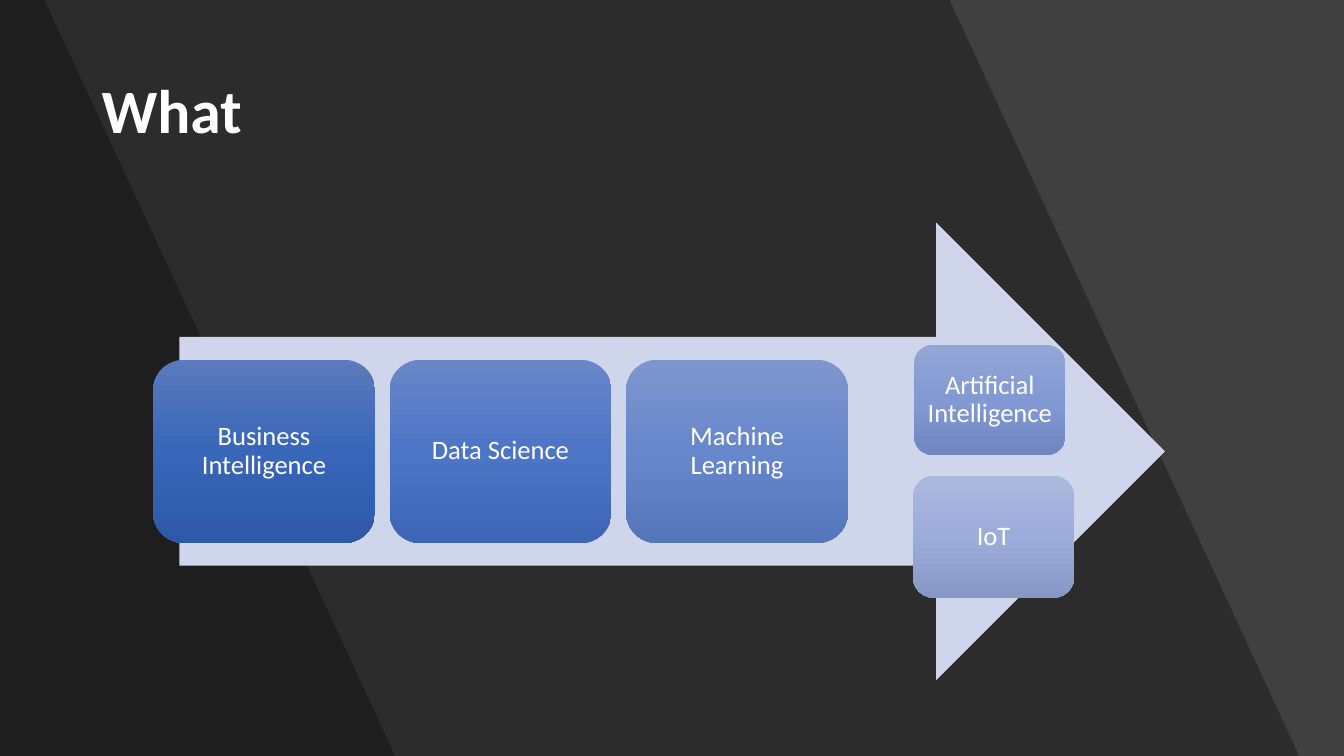
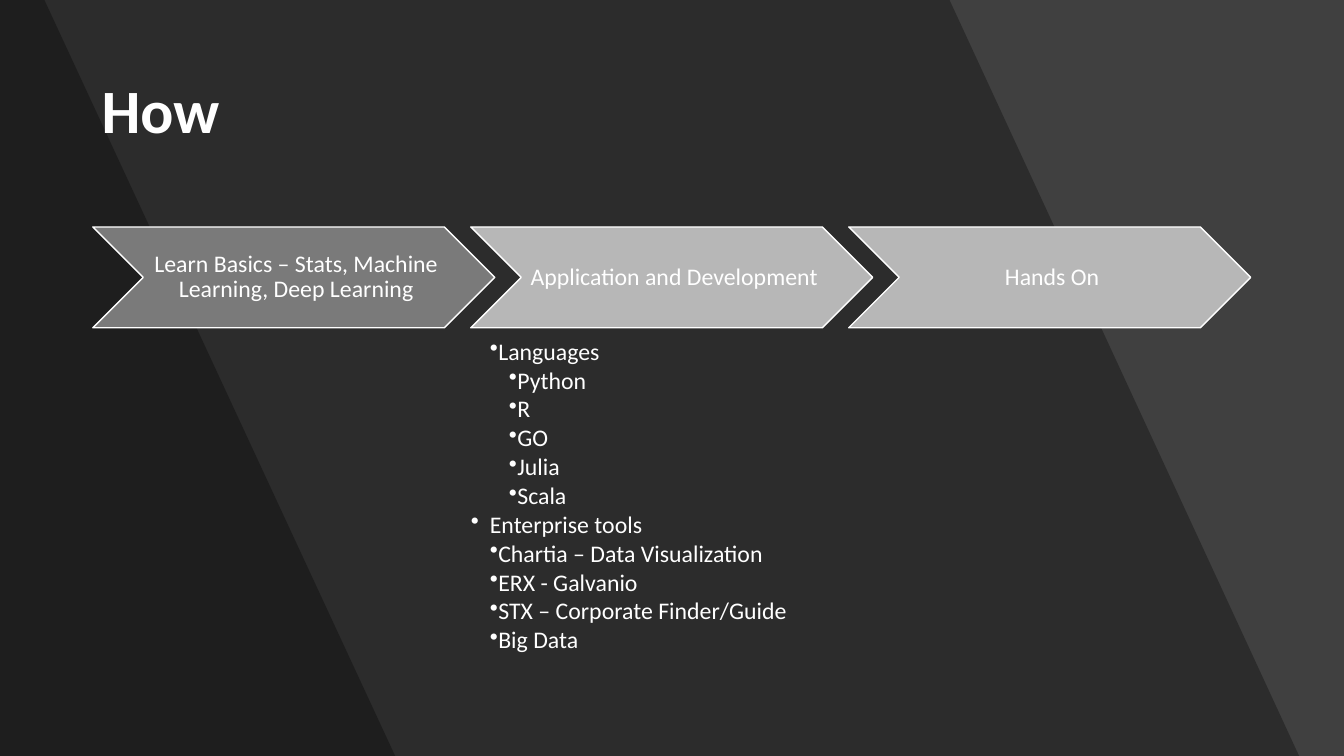
from copy import deepcopy
from dataclasses import dataclass

from lxml import etree
from pptx import Presentation
from pptx.dml.color import RGBColor
from pptx.enum.shapes import MSO_SHAPE
from pptx.enum.text import MSO_ANCHOR, MSO_AUTO_SIZE, PP_ALIGN
from pptx.oxml.ns import qn
from pptx.util import Cm, Pt

RIGHT_ARROW = MSO_SHAPE.RIGHT_ARROW
ROUNDED = MSO_SHAPE.ROUNDED_RECTANGLE
CHEVRON = MSO_SHAPE.CHEVRON
TOP, MIDDLE = MSO_ANCHOR.TOP, MSO_ANCHOR.MIDDLE
LEFT, CENTER = PP_ALIGN.LEFT, PP_ALIGN.CENTER
NO_AUTOFIT = MSO_AUTO_SIZE.NONE
TITLE_ONLY = 5


@dataclass(frozen=True)
class Theme:
    """Colours, font and type sizes shared by the slides."""
    font: str = "Calibri"
    title_size: float = 44
    block_size: float = 19
    step_size: float = 17
    line_spacing: float = 0.9
    background: str = "404040"
    band: str = "000000"
    band_opacity: int = 30
    text: str = "FFFFFF"
    arrow: str = "CFD5EA"
    active_step: str = "7A7A7A"
    next_step: str = "B7B7B7"


@dataclass(frozen=True)
class Box:
    """A rectangle in centimetres."""
    left: float
    top: float
    width: float
    height: float

    def lengths(self):
        """Return left, top, width and height as lengths."""
        return Cm(self.left), Cm(self.top), Cm(self.width), Cm(self.height)

    def inner(self, left, top, width, height):
        """Return a box placed relative to this one."""
        return Box(self.left + left, self.top + top, width, height)


THEME = Theme()
PAGE = Box(0, 0, 33.87, 19.05)
TITLE_BOX = Box(2.31, 1.02, 29.24, 3.68)
BANDS = [(23.93, 32.74), (1.12, 9.96)]
BULLET_INDENT = 0.48

FIELDS = [
    ("Business Intelligence", ("5C7ABD", "3866B8", "2D59A8")),
    ("Data Science", ("6A86C8", "4C75C6", "3D66B6")),
    ("Machine Learning", ("7E96CE", "6787CC", "5676BB")),
]
OUTCOMES = [
    ("Artificial Intelligence", ("94A6D6", "8299D3", "6F86C0"), (19.18, 3.08, 3.81, 2.77)),
    ("IoT", ("ABB8DD", "9CADDB", "8798C6"), (19.15, 6.38, 4.06, 3.07)),
]
STEPS = [
    ("Learn Basics – Stats, Machine Learning, Deep Learning", THEME.active_step),
    ("Application and Development", THEME.next_step),
    ("Hands On", THEME.next_step),
]
TOOLS = [
    ("Languages", 1, 0),
    ("Python", 2, 0),
    ("R", 2, 0),
    ("GO", 2, 0),
    ("Julia", 2, 0),
    ("Scala", 2, 0),
    ("Enterprise tools", 1, -BULLET_INDENT),
    ("Chartia – Data Visualization", 1, 0),
    ("ERX - Galvanio", 1, 0),
    ("STX – Corporate Finder/Guide", 1, 0),
    ("Big Data", 1, 0),
]


def rgb(code):
    """Turn a hex code into a colour."""
    return RGBColor.from_string(code)


def write(frame, *lines, size, bold=False, align=CENTER, anchor=MIDDLE,
          insets=(0.25, 0.13, 0.25, 0.13), after=0):
    """Write lines into a text frame and return their paragraphs."""
    frame.word_wrap = True
    frame.auto_size = NO_AUTOFIT
    frame.vertical_anchor = anchor
    (frame.margin_left, frame.margin_top,
     frame.margin_right, frame.margin_bottom) = map(Cm, insets)
    frame.text = "\n".join(lines)
    for paragraph in frame.paragraphs:
        paragraph.alignment = align
        paragraph.line_spacing = THEME.line_spacing
        paragraph.space_before = Pt(0)
        paragraph.space_after = Pt(after)
        font = paragraph.runs[0].font
        font.name, font.size, font.bold = THEME.font, Pt(size), bold
        font.color.rgb = rgb(THEME.text)
    return frame.paragraphs


def add_form(slide, kind, box, fill=None, line=None):
    """Add a preset shape with an optional solid fill and outline."""
    form = slide.shapes.add_shape(kind, *box.lengths())
    form.shadow.inherit = False
    if fill:
        form.fill.solid()
        form.fill.fore_color.rgb = rgb(fill)
    if line:
        form.line.color.rgb = rgb(line)
        form.line.width = Pt(1)
    else:
        form.line.fill.background()
    return form


def shade(form, colours):
    """Fill a shape with evenly spaced colours from top to bottom."""
    form.fill.gradient()
    form.fill.gradient_angle = 270
    stops = form._element.spPr.find(qn("a:gradFill")).find(qn("a:gsLst"))
    while len(stops) < len(colours):
        stops.append(deepcopy(stops[-1]))
    for index, (stop, colour) in enumerate(zip(form.fill.gradient_stops, colours)):
        stop.position = index / (len(colours) - 1)
        stop.color.rgb = rgb(colour)


def add_band(slide, box, top_edge, bottom_edge):
    """Darken the box from its left side to a slanted edge."""
    corners = [(top_edge, 0), (bottom_edge, box.height), (0, box.height)]
    outline = slide.shapes.build_freeform(Cm(box.left), Cm(box.top))
    outline.add_line_segments(
        [(Cm(box.left + x), Cm(box.top + y)) for x, y in corners], close=True)
    band = outline.convert_to_shape()
    band.shadow.inherit = False
    band.line.fill.background()
    band.fill.solid()
    band.fill.fore_color.rgb = rgb(THEME.band)
    colour = next(band._element.spPr.iter(qn("a:srgbClr")))
    etree.SubElement(colour, qn("a:alpha")).set("val", str(THEME.band_opacity * 1000))


def add_titled_slide(deck, heading):
    """Add a slide with the shared background, bands and title style."""
    slide = deck.slides.add_slide(deck.slide_layouts[TITLE_ONLY])
    slide.background.fill.solid()
    slide.background.fill.fore_color.rgb = rgb(THEME.background)
    for top_edge, bottom_edge in BANDS:
        add_band(slide, PAGE, top_edge, bottom_edge)
    title = slide.shapes.title
    title.left, title.top, title.width, title.height = TITLE_BOX.lengths()
    write(title.text_frame, heading, size=THEME.title_size, bold=True, align=LEFT)
    slide.shapes._spTree.append(title._element)
    return slide


def add_block(slide, box, label, colours, inset):
    """Add a shaded rounded block with a label."""
    block = add_form(slide, ROUNDED, box)
    shade(block, colours)
    write(block.text_frame, label, size=THEME.block_size, insets=(inset,) * 4)


def add_field_arrow(slide, box):
    """Draw the arrow with the fields in a row and the outcomes at its head."""
    add_form(slide, RIGHT_ARROW, box.inner(0.66, 0, 24.84, box.height), THEME.arrow)
    width, height, pitch = 5.59, 0.4 * box.height, 5.96
    for index, (label, colours) in enumerate(FIELDS):
        place = box.inner(index * pitch, (box.height - height) / 2, width, height)
        add_block(slide, place, label, colours, 0.2)
    for label, colours, place in OUTCOMES:
        add_block(slide, box.inner(*place), label, colours, 0.1)


def add_tool_list(slide, box):
    """Write the bulleted list of languages and tools."""
    tools = slide.shapes.add_textbox(*box.lengths())
    paragraphs = write(tools.text_frame, *(label for label, _, _ in TOOLS),
                       size=THEME.step_size, align=LEFT, anchor=TOP,
                       insets=(0,) * 4, after=2.25)
    for paragraph, (_, level, hanging) in zip(paragraphs, TOOLS):
        paragraph.level = level
        properties = paragraph._p.get_or_add_pPr()
        properties.set("marL", str(Cm(level * BULLET_INDENT)))
        properties.set("indent", str(Cm(hanging)))
        etree.SubElement(properties, qn("a:buChar")).set("char", "•")


def add_step_row(slide, box):
    """Draw the chevron steps with the tool list under the second one."""
    width, height = 10.13, 2.54
    pitch = (box.width - width) / (len(STEPS) - 1)
    for index, (label, fill) in enumerate(STEPS):
        step = add_form(slide, CHEVRON, box.inner(index * pitch, 0, width, height),
                        fill, THEME.text)
        write(step.text_frame, label, size=THEME.step_size,
              insets=(0.18, 0.06, 0.06, 0.06))
    list_top = 2.84
    add_tool_list(slide, box.inner(pitch, list_top, 8.1, box.height - list_top))


def main():
    """Build the deck and save it."""
    deck = Presentation()
    deck.slide_width, deck.slide_height = Cm(PAGE.width), Cm(PAGE.height)
    add_field_arrow(add_titled_slide(deck, "What"), Box(3.86, 5.61, 25.5, 11.53))
    add_step_row(add_titled_slide(deck, "How"), Box(2.34, 5.72, 29.18, 11.35))
    deck.save("out.pptx")


main()
